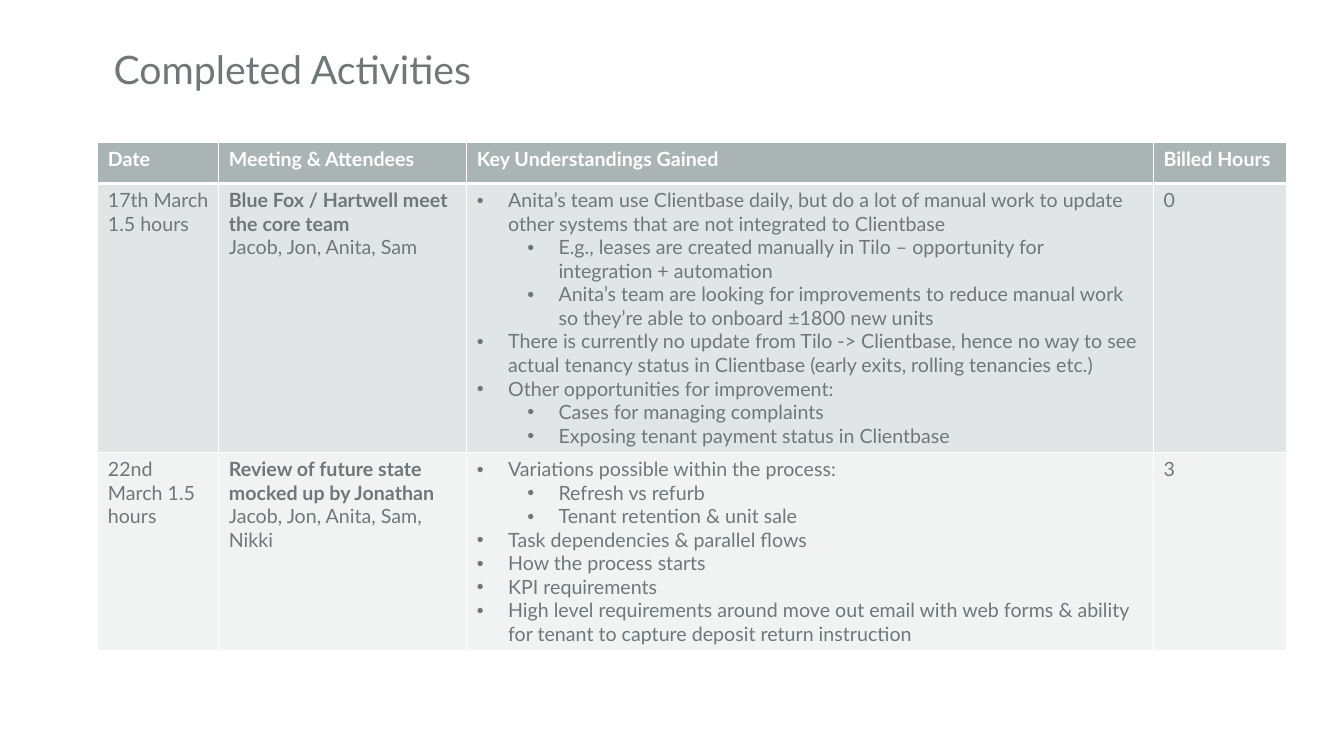
from lxml.etree import SubElement
from pptx import Presentation
from pptx.dml.color import RGBColor
from pptx.enum.text import MSO_ANCHOR
from pptx.oxml.ns import qn
from pptx.util import Inches, Pt

COLUMN_WIDTHS = (1.2, 2.46, 6.81, 1.32)
ROW_HEIGHTS = (0.41, 2.66, 1.96)
HEADINGS = ("Date", "Meeting & Attendees", "Key Understandings Gained", "Billed Hours")

# Each understanding is (indent level, text).
ACTIVITIES = [
    {
        "date": "17th March 1.5 hours",
        "meeting": "Blue Fox / Hartwell meet the core team",
        "attendees": "Jacob, Jon, Anita, Sam",
        "understandings": [
            (0, "Anita’s team use Clientbase daily, but do a lot of manual work to update "
                "other systems that are not integrated to Clientbase"),
            (1, "E.g., leases are created manually in Tilo – opportunity for "
                "integration + automation"),
            (1, "Anita’s team are looking for improvements to reduce manual work "
                "so they’re able to onboard ±1800 new units"),
            (0, "There is currently no update from Tilo -> Clientbase, hence no way to "
                "see actual tenancy status in Clientbase (early exits, rolling tenancies etc.)"),
            (0, "Other opportunities for improvement:"),
            (1, "Cases for managing complaints"),
            (1, "Exposing tenant payment status in Clientbase"),
        ],
        "hours": "0",
        "fill": "E2E5E5",
    },
    {
        "date": "22nd March 1.5 hours",
        "meeting": "Review of future state mocked up by Jonathan",
        "attendees": "Jacob, Jon, Anita, Sam, Nikki",
        "understandings": [
            (0, "Variations possible within the process:"),
            (1, "Refresh vs refurb"),
            (1, "Tenant retention & unit sale"),
            (0, "Task dependencies & parallel flows"),
            (0, "How the process starts"),
            (0, "KPI requirements"),
            (0, "High level requirements around move out email with web forms & ability "
                "for tenant to capture deposit return instruction"),
        ],
        "hours": "3",
        "fill": "F1F2F2",
    },
]


def rgb(color):
    return RGBColor.from_string(color)


class SlideBuilder:
    font_name = "Lato"
    text_color = "6E7878"
    header_fill = "AAB4B4"
    white = "FFFFFF"
    title_size = 28
    table_size = 14

    def __init__(self, slide):
        self.slide = slide

    def style(self, paragraph, size, color, bold=False):
        font = paragraph.font
        font.name, font.size, font.bold = self.font_name, Pt(size), bold
        font.color.rgb = rgb(color)

    def title(self, text, left, top, width, height):
        box = self.slide.shapes.add_textbox(
            Inches(left), Inches(top), Inches(width), Inches(height))
        frame = box.text_frame
        frame.word_wrap = True
        frame.vertical_anchor = MSO_ANCHOR.MIDDLE
        paragraph = frame.paragraphs[0]
        paragraph.text = text
        paragraph.line_spacing = 0.9
        self.style(paragraph, self.title_size, self.text_color)

    def bullet(self, paragraph, level):
        paragraph.level = level
        properties = paragraph._p.get_or_add_pPr()
        properties.set("marL", str(Inches(0.31 + 0.5 * level)))
        properties.set("indent", str(-Inches(0.31)))
        SubElement(properties, qn("a:buFont"), typeface="Arial")
        SubElement(properties, qn("a:buChar"), char="•")

    def borders(self, cell, bottom_width):
        properties = cell._tc.get_or_add_tcPr()
        widths = {"a:lnL": 1, "a:lnR": 1, "a:lnT": 1, "a:lnB": bottom_width}
        for tag, width in widths.items():
            line = SubElement(properties, qn(tag), w=str(Pt(width)))
            fill = SubElement(line, qn("a:solidFill"))
            SubElement(fill, qn("a:srgbClr"), val=self.white)

    def cell(self, cell, lines, fill, color=text_color, bottom_width=1):
        """Fill a cell with lines of (text, bold, bullet level or None)."""
        self.borders(cell, bottom_width)
        cell.fill.solid()
        cell.fill.fore_color.rgb = rgb(fill)
        frame = cell.text_frame
        for index, (text, bold, level) in enumerate(lines):
            paragraph = frame.add_paragraph() if index else frame.paragraphs[0]
            paragraph.text = text
            if level is not None:
                self.bullet(paragraph, level)
            self.style(paragraph, self.table_size, color, bold)

    def activity_table(self, left, top):
        table = self.slide.shapes.add_table(
            len(ROW_HEIGHTS), len(COLUMN_WIDTHS), Inches(left), Inches(top),
            Inches(sum(COLUMN_WIDTHS)), Inches(sum(ROW_HEIGHTS))).table
        table.horz_banding = False
        for column, width in zip(table.columns, COLUMN_WIDTHS):
            column.width = Inches(width)
        for row, height in zip(table.rows, ROW_HEIGHTS):
            row.height = Inches(height)

        for column, heading in enumerate(HEADINGS):
            self.cell(table.cell(0, column), [(heading, True, None)],
                      self.header_fill, self.white, bottom_width=3)
        for row, activity in enumerate(ACTIVITIES, start=1):
            contents = (
                [(activity["date"], False, None)],
                [(activity["meeting"], True, None), (activity["attendees"], False, None)],
                [(text, False, level) for level, text in activity["understandings"]],
                [(activity["hours"], False, None)],
            )
            for column, lines in enumerate(contents):
                self.cell(table.cell(row, column), lines, activity["fill"])


def main():
    presentation = Presentation()
    presentation.slide_width = Inches(13.33)
    presentation.slide_height = Inches(7.5)
    builder = SlideBuilder(presentation.slides.add_slide(presentation.slide_layouts[6]))
    builder.title("Completed Activities", 1.03, 0.4, 9.43, 0.63)
    builder.activity_table(0.97, 1.41)
    presentation.save("out.pptx")


if __name__ == "__main__":
    main()
